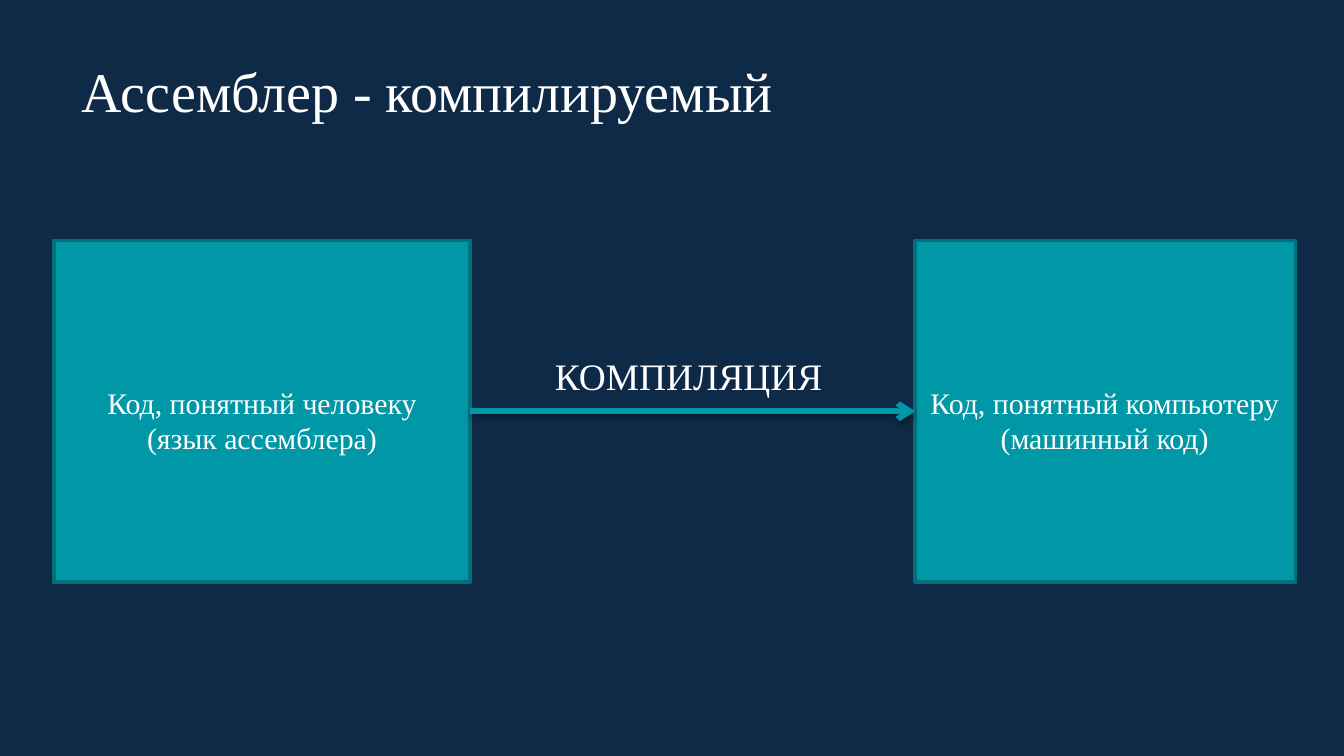
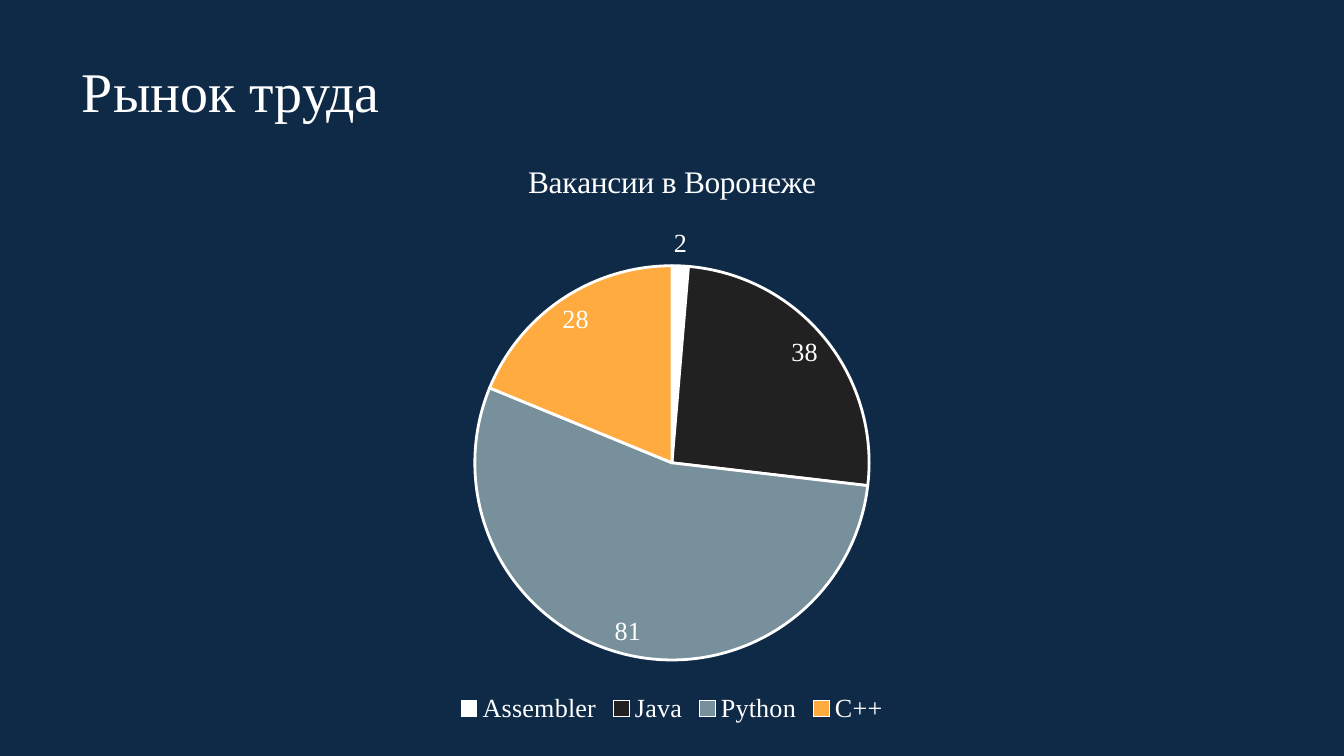
from lxml import etree
from pptx import Presentation
from pptx.chart.data import CategoryChartData
from pptx.dml.color import RGBColor
from pptx.enum import chart as charts, shapes, text
from pptx.oxml import parse_xml
from pptx.oxml.ns import nsdecls, qn
from pptx.util import Inches, Pt

FONT = "Times New Roman"
COLORS = {
    "background": "0E2A47",
    "text": "FFFFFF",
    "teal": "0097A7",
    "teal_edge": "00707C",
    "Assembler": "FFFFFF",
    "Java": "212121",
    "Python": "78909C",
    "C++": "FFAB40",
}
VACANCIES = {"Assembler": 2, "Java": 38, "Python": 81, "C++": 28}
BOX_TOP, BOX_HEIGHT = 1.79, 2.54


def color(name):
    return RGBColor.from_string(COLORS[name])


def style_font(font, size):
    font.name = FONT
    font.size = Pt(size)
    font.bold = False
    font.color.rgb = color("text")


def style_text(frame, size, align):
    for paragraph in frame.paragraphs:
        paragraph.alignment = align
        for run in paragraph.runs:
            style_font(run.font, size)


def add_titled_slide(prs, heading):
    slide = prs.slides.add_slide(prs.slide_layouts.get_by_name("Title Only"))
    title = slide.shapes.title
    title.left, title.top = Inches(0.51), Inches(0.37)
    title.width, title.height = Inches(9.12), Inches(0.6)
    frame = title.text_frame
    frame.text = heading
    frame.word_wrap = True
    frame.auto_size = text.MSO_AUTO_SIZE.NONE
    frame.vertical_anchor = text.MSO_ANCHOR.TOP
    frame.margin_left, frame.margin_top = Inches(0.1), Inches(0.05)
    style_text(frame, 30, text.PP_ALIGN.LEFT)
    return slide


def add_code_box(slide, left, width):
    box = slide.shapes.add_shape(
        shapes.MSO_SHAPE.RECTANGLE,
        Inches(left), Inches(BOX_TOP), Inches(width), Inches(BOX_HEIGHT))
    box.shadow.inherit = False
    box.fill.solid()
    box.fill.fore_color.rgb = color("teal")
    box.line.color.rgb = color("teal_edge")
    box.line.width = Pt(2)
    return box


def add_label(slide, words, left, top, width, height, size):
    label = slide.shapes.add_textbox(
        Inches(left), Inches(top), Inches(width), Inches(height))
    frame = label.text_frame
    frame.text = words
    frame.word_wrap = True
    style_text(frame, size, text.PP_ALIGN.CENTER)


def add_arrow(slide, source, target):
    """Join the right side of source to the left side of target."""
    arrow = slide.shapes.add_connector(shapes.MSO_CONNECTOR.STRAIGHT, 0, 0, 0, 0)
    arrow.begin_connect(source, 3)
    arrow.end_connect(target, 1)
    arrow.line.color.rgb = color("teal")
    arrow.line.width = Pt(3)
    etree.SubElement(arrow.line._get_or_add_ln(), qn("a:tailEnd"), type="arrow")
    arrow._element.spPr.append(parse_xml(
        f'<a:effectLst {nsdecls("a")}>'
        f'<a:outerShdw blurRad="{Pt(3.1)}" dist="{Pt(1.8)}" dir="5400000" rotWithShape="0">'
        '<a:srgbClr val="000000"><a:alpha val="35000"/></a:srgbClr>'
        '</a:outerShdw></a:effectLst>'))


def add_vacancy_pie(slide, heading, vacancies):
    data = CategoryChartData()
    data.categories = vacancies.keys()
    data.add_series(heading, vacancies.values())
    chart = slide.shapes.add_chart(
        charts.XL_CHART_TYPE.PIE,
        Inches(1.53), Inches(1.02), Inches(6.94), Inches(4.4), data).chart
    style_font(chart.font, 14)

    chart.has_title = True
    chart.chart_title.include_in_layout = False
    chart.chart_title.text_frame.text = heading
    style_text(chart.chart_title.text_frame, 16.8, text.PP_ALIGN.CENTER)

    chart.has_legend = True
    chart.legend.position = charts.XL_LEGEND_POSITION.BOTTOM
    chart.legend.include_in_layout = False
    style_font(chart.legend.font, 14)

    pie = chart.plots[0]
    pie.vary_by_categories = True
    series = pie.series[0]
    for index, language in enumerate(vacancies):
        sector = series.points[index].format
        sector.fill.solid()
        sector.fill.fore_color.rgb = color(language)
        sector.line.color.rgb = color("text")
        sector.line.width = Pt(1.5)

    labels = series.data_labels
    labels.show_value = True
    labels.position = charts.XL_LABEL_POSITION.BEST_FIT
    style_font(labels.font, 14)


def add_compilation_slide(prs):
    slide = add_titled_slide(prs, "Ассемблер - компилируемый")
    human_code = add_code_box(slide, 0.4, 3.1)
    machine_code = add_code_box(slide, 6.81, 2.83)
    add_arrow(slide, human_code, machine_code)
    add_label(slide, "Код, понятный человеку\v(язык ассемблера)",
              0.58, 2.81, 2.74, 0.64, 16)
    add_label(slide, "Код, понятный компьютеру\n(машинный код)",
              6.75, 2.81, 2.94, 0.64, 16)
    add_label(slide, "КОМПИЛЯЦИЯ", 3.89, 2.58, 2.47, 0.44, 20)


def add_market_slide(prs):
    slide = add_titled_slide(prs, "Рынок труда")
    add_vacancy_pie(slide, "Вакансии в Воронеже", VACANCIES)


def main():
    prs = Presentation()
    prs.slide_width = Inches(10)
    prs.slide_height = prs.slide_width * 9 // 16
    backdrop = prs.slide_master.background.fill
    backdrop.solid()
    backdrop.fore_color.rgb = color("background")
    add_compilation_slide(prs)
    add_market_slide(prs)
    prs.save("out.pptx")


if __name__ == "__main__":
    main()
